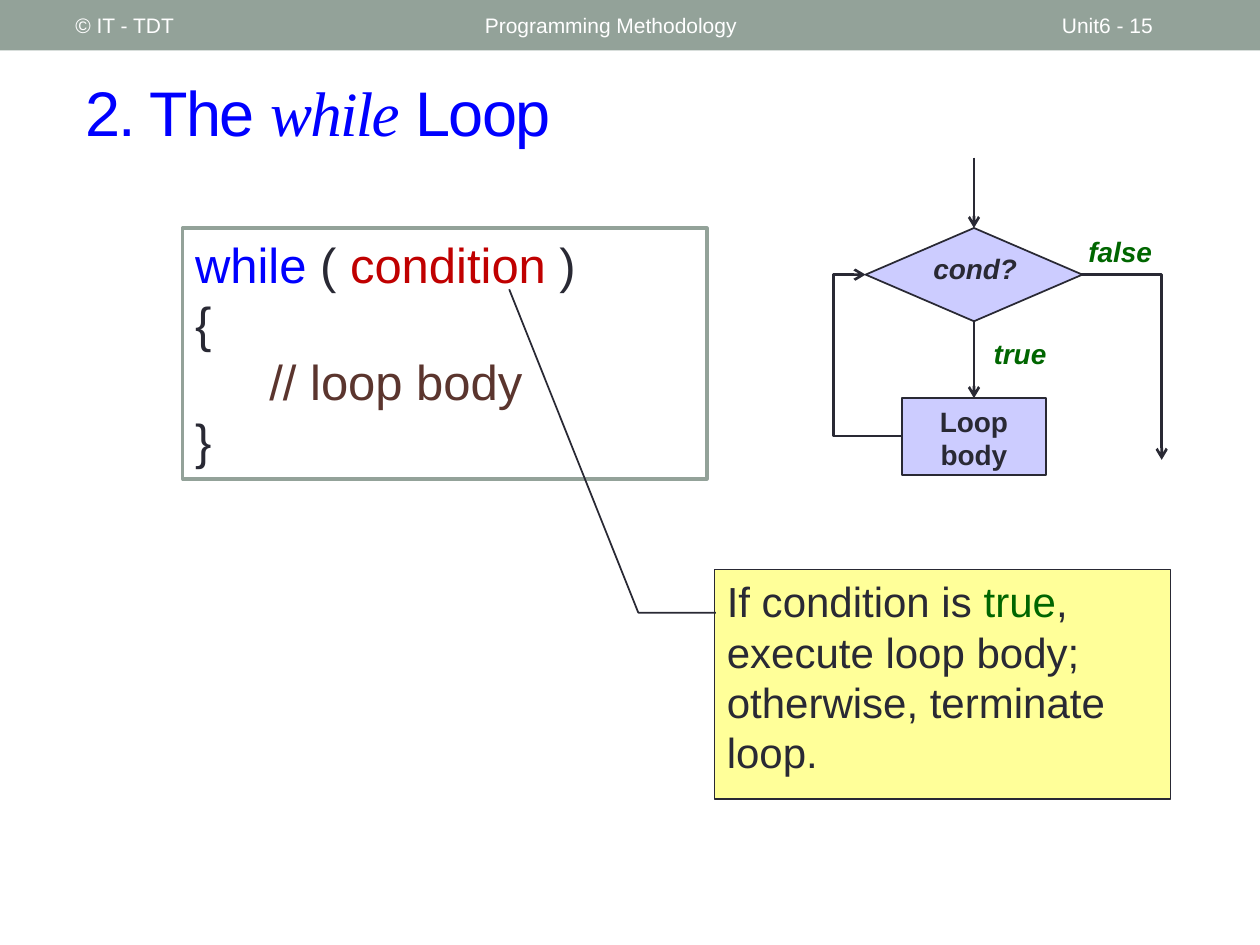
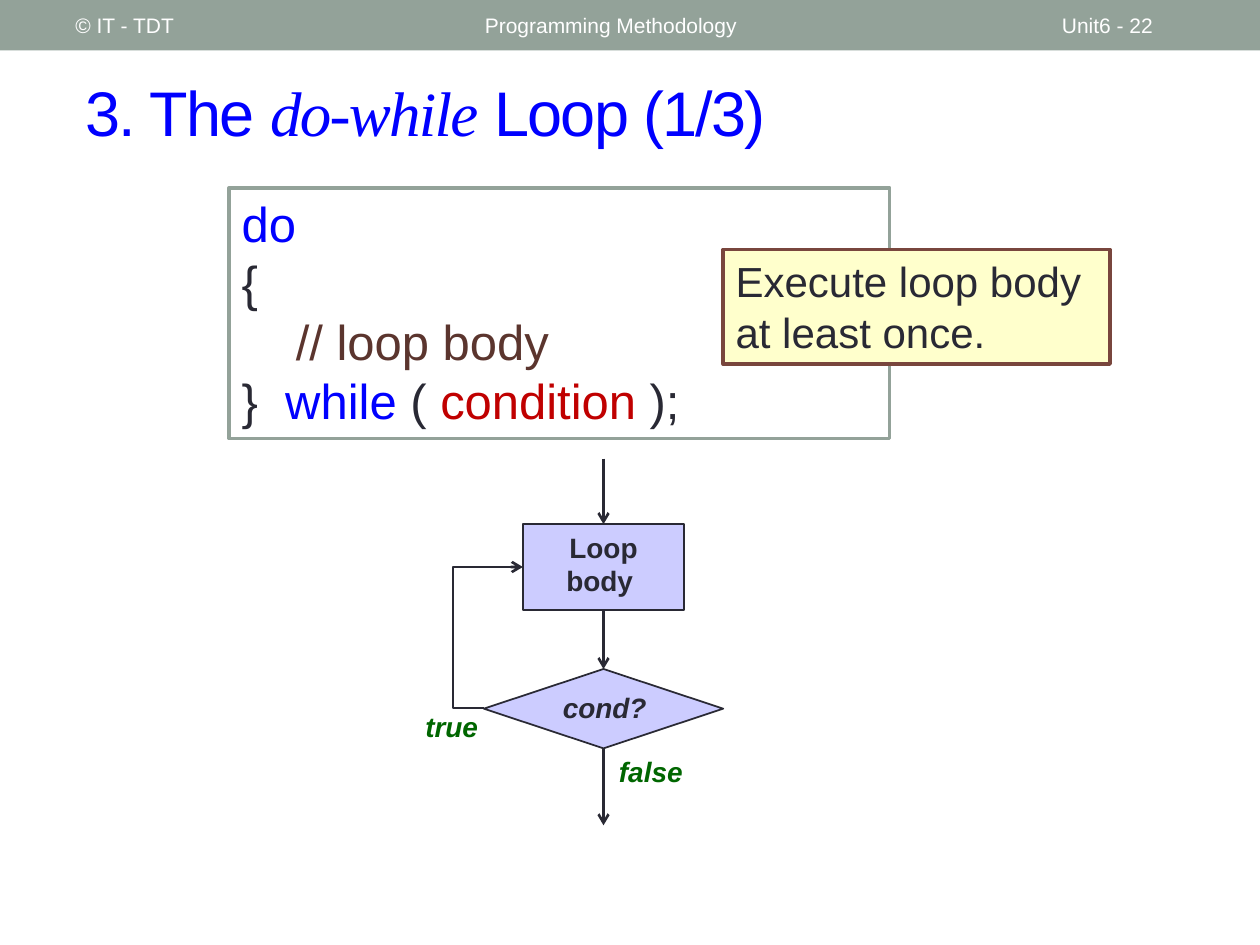
import pptx
import pptx.util
import pptx.dml.color
import pptx.enum.shapes
import pptx.enum.text
import pptx.oxml.ns
import lxml.etree

Inches = pptx.util.Inches
SHAPE = pptx.enum.shapes.MSO_SHAPE
CONNECTOR = pptx.enum.shapes.MSO_CONNECTOR
ALIGN = pptx.enum.text.PP_ALIGN
ANCHOR = pptx.enum.text.MSO_ANCHOR
TOP, LEFT, BOTTOM, RIGHT = range(4)

THEME = {
    "color": {
        "band": "93A299", "white": "FFFFFF", "ink": "292934", "keyword": "0000FF",
        "condition": "C00000", "comment": "5B352E", "answer": "006600",
        "node": "CCCCFF", "callout": "FFFF99", "note": "FFFFCC", "note edge": "79463D",
    },
    "size": {"title": 36, "code": 28, "note": 24, "flow": 16, "header": 12},
    "font": "Arial",
    "title accent": "Times New Roman",
    "thick": 2.08, "edge": 1, "arrow": 1.5,
}


def color(name):
    return pptx.dml.color.RGBColor.from_string(THEME["color"][name])


def write_text(shape, paragraphs, size, anchor=ANCHOR.TOP, align=ALIGN.LEFT, **formats):
    """Fill a shape with paragraphs, each a list of (text, colour name, own formats)."""
    frame = shape.text_frame
    frame.word_wrap = True
    frame.vertical_anchor = anchor
    for index, spans in enumerate(paragraphs):
        para = frame.paragraphs[0] if index == 0 else frame.add_paragraph()
        para.alignment = align
        for text, tint, *own in spans:
            span = para.add_run()
            span.text = text
            span.font.color.rgb = color(tint)
            look = {"name": THEME["font"], "size": pptx.util.Pt(THEME["size"][size]), **formats}
            for extra in own:
                look.update(extra)
            for key, value in look.items():
                setattr(span.font, key, value)


def add_box(page, kind, place, fill, edge=None, width=THEME["edge"]):
    box = page.shapes.add_shape(kind, *map(Inches, place))
    box.shadow.inherit = False
    box.fill.solid()
    box.fill.fore_color.rgb = color(fill)
    if edge:
        box.line.color.rgb = color(edge)
        box.line.width = pptx.util.Pt(width)
    else:
        box.line.fill.background()
    return box


# Flow arrows: (start, end, start joint, end joint); a joint is (node, side).
# Elbows: (start, end, preset, adjustment, arrow end).
pages = [
    {
        "number": 15,
        "title": ["2. The ", "while", " Loop"],
        "code place": (1.45, 1.81, 4.16, 1.99),
        "code": [
            [("while", "keyword"), (" ( ", "ink"), ("condition", "condition"), (" )", "ink")],
            [("{", "ink")],
            [("// loop body", "comment")],
            [("}", "ink")],
        ],
        "code indent": 0.59,
        "note": [("If condition is ", "ink"), ("true", "answer"),
                 (", execute loop body; otherwise, terminate loop.", "ink")],
        "note box": (SHAPE.LINE_CALLOUT_2, (5.67, 4.52, 3.62, 1.82), "callout", "ink"),
        "note pointer": (0.188, 0.003, 0.188, -0.167, -1.222, -0.45),
        "decision": (6.87, 1.81, 1.72, 0.74),
        "process": (7.16, 3.16, 1.14, 0.61),
        "process text": ["Loop body"],
        "labels": [("cond?", "ink", (7.2, 1.95, 1.08, 0.37)),
                   ("true", "answer", (7.67, 2.62, 0.85, 0.37)),
                   ("false", "answer", (8.51, 1.81, 0.76, 0.37))],
        "arrows": [((7.73, 1.25), (7.73, 1.81), None, ("decision", TOP)),
                   ((7.73, 2.55), (7.73, 3.16), ("decision", BOTTOM), ("process", TOP))],
        "elbows": [((7.16, 3.46), (6.87, 2.18), "bentConnector3", 1.88, "tailEnd"),
                   ((8.58, 2.18), (9.22, 3.65), "bentConnector2", None, "tailEnd")],
    },
    {
        "number": 22,
        "title": ["3. The ", "do-while", " Loop (1/3)"],
        "code place": (1.82, 1.49, 5.24, 1.99),
        "code": [
            [("do", "keyword")],
            [("{", "ink")],
            [("// loop body", "comment")],
            [("}  ", "ink"), ("while", "keyword"), (" ( ", "ink"),
             ("condition ", "condition"), (");", "ink")],
        ],
        "code indent": 0.43,
        "note": [("Execute loop body at least once.", "ink")],
        "note box": (SHAPE.RECTANGLE, (5.74, 1.98, 3.07, 0.91), "note", "note edge",
                     THEME["thick"]),
        "note pointer": (),
        "decision": (3.84, 5.31, 1.9, 0.63),
        "process": (4.15, 4.16, 1.28, 0.68),
        "process text": ["Loop", "body "],
        "labels": [("cond?", "ink", (4.2, 5.43, 1.2, 0.37)),
                   ("true", "answer", (3.11, 5.58, 0.95, 0.37)),
                   ("false", "answer", (4.74, 5.94, 0.85, 0.37))],
        "arrows": [((4.79, 3.64), (4.79, 4.16), None, ("process", TOP)),
                   ((4.79, 4.83), (4.79, 5.31), ("process", BOTTOM), ("decision", TOP)),
                   ((4.79, 5.94), (4.79, 6.55), ("decision", BOTTOM), None)],
        "elbows": [((4.15, 4.5), (3.84, 5.62), "bentConnector3", 1.79, "headEnd")],
    },
]

deck = pptx.Presentation()
deck.slide_width, deck.slide_height = Inches(10), Inches(7.5)
title_only = deck.slide_layouts[5]

for content in pages:
    page = deck.slides.add_slide(title_only)

    # Header band and title
    add_box(page, SHAPE.RECTANGLE, (0, 0, 10, 0.4), "band")
    for text, left, width in [("Programming Methodology", 3.75, 4.5),
                              (f"Unit6 - {content['number']}", 8.33, 1.17),
                              ("© IT - TDT", 0.5, 3.17)]:
        header = page.shapes.add_textbox(*map(Inches, (left, 0.02, width, 0.36)))
        write_text(header, [[(text, "white")]], "header", ANCHOR.MIDDLE)

    title = page.shapes.title
    title.left, title.top, title.width, title.height = map(Inches, (0.58, 0.42, 9.17, 0.92))
    before, loop_name, after = content["title"]
    accent = {"name": THEME["title accent"], "italic": True}
    write_text(title, [[(before, "keyword"), (loop_name, "keyword", accent), (after, "keyword")]],
               "title", ANCHOR.MIDDLE)
    for span in title.text_frame.paragraphs[0].runs:
        span.font._element.set("spc", "-100")

    # Code and note
    code = add_box(page, SHAPE.RECTANGLE, content["code place"], "white", "band", THEME["thick"])
    write_text(code, content["code"], "code")
    loop_body = code.text_frame.paragraphs[2]
    loop_body._p.get_or_add_pPr().set("marL", str(Inches(content["code indent"])))

    note = add_box(page, *content["note box"])
    write_text(note, [content["note"]], "note")
    for index, value in enumerate(content["note pointer"]):
        note.adjustments[index] = value

    # Flow chart
    nodes = {
        "decision": add_box(page, SHAPE.FLOWCHART_DECISION, content["decision"], "node", "ink"),
        "process": add_box(page, SHAPE.FLOWCHART_PROCESS, content["process"], "node", "ink"),
    }
    write_text(nodes["process"], [[(text, "ink")] for text in content["process text"]],
               "flow", align=ALIGN.CENTER, bold=True)
    for text, tint, place in content["labels"]:
        label = page.shapes.add_textbox(*map(Inches, place))
        write_text(label, [[(text, tint)]], "flow", align=ALIGN.CENTER, bold=True, italic=True)

    links = []
    for start, end, start_joint, end_joint in content["arrows"]:
        link = page.shapes.add_connector(CONNECTOR.STRAIGHT, *map(Inches, start + end))
        if start_joint:
            link.begin_connect(nodes[start_joint[0]], start_joint[1])
        if end_joint:
            link.end_connect(nodes[end_joint[0]], end_joint[1])
        links.append((link, "tailEnd"))
    for start, end, preset, bend, arrow_end in content["elbows"]:
        link = page.shapes.add_connector(CONNECTOR.ELBOW, *map(Inches, start + end))
        geometry = link._element.spPr.find(pptx.oxml.ns.qn("a:prstGeom"))
        geometry.set("prst", preset)
        if bend:
            guides = geometry.find(pptx.oxml.ns.qn("a:avLst"))
            lxml.etree.SubElement(guides, pptx.oxml.ns.qn("a:gd"), name="adj1",
                                  fmla=f"val {round(bend * 100000)}")
        links.append((link, arrow_end))
    for link, arrow_end in links:
        link.line.color.rgb = color("ink")
        link.line.width = pptx.util.Pt(THEME["arrow"])
        lxml.etree.SubElement(link.line._get_or_add_ln(), pptx.oxml.ns.qn(f"a:{arrow_end}"),
                              type="arrow")
        lxml.etree.SubElement(link._element.spPr, pptx.oxml.ns.qn("a:effectLst"))

deck.save("out.pptx")
